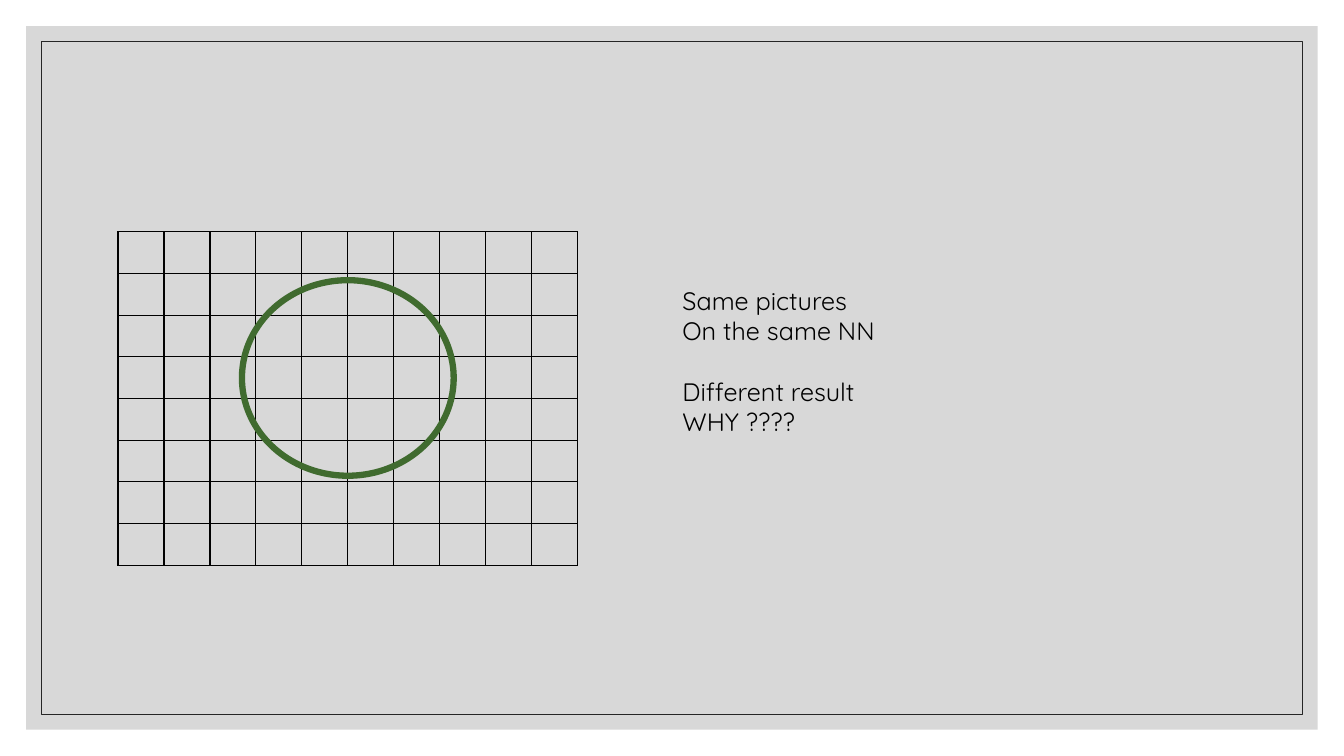
from pptx import Presentation
from pptx.dml.color import RGBColor
from pptx.enum.shapes import MSO_SHAPE as SHAPE
from pptx.oxml import parse_xml
from pptx.oxml.ns import nsdecls
from pptx.util import Inches, Pt

COLORS = {"panel": "BFBFBF", "frame": "262626", "circle": "406B2F", "ink": "000000"}
WIDTH, HEIGHT = 13.33, 7.5
COLS, ROWS = 10, 8
GRID_BOX = (1.17, 2.3, 4.56, 3.31)
CIRCLE_BOX = (2.4, 2.78, 2.1, 1.94)
TEXT_BOX = (6.67, 2.78, 3.71, 1.62)
PANEL_MARGIN, FRAME_MARGIN = 0.26, 0.41
FONT = {"name": "Quicksand", "size": Pt(18)}
CELL = {"margin_left": 0, "margin_right": 0, "margin_top": 0, "margin_bottom": 0}
LINE_GAP = 21.6
LINES = [
    ("Same pictures", 0),
    ("On the same NN", 0),
    ("Different result", LINE_GAP),
    ("WHY ????", 0),
]


def rgb(name):
    return RGBColor.from_string(COLORS[name])


def inset(margin):
    return margin, margin, WIDTH - 2 * margin, HEIGHT - 2 * margin


def add_shape(s, kind, box, fill=None, alpha=100, line=None, weight=0):
    sp = s.shapes.add_shape(kind, *map(Inches, box))
    sp.shadow.inherit = False
    if fill:
        sp.fill.solid()
        sp.fill.fore_color.rgb = rgb(fill)
        color = sp.fill._xPr.find(".//{*}srgbClr")
        color.append(parse_xml(f'<a:alpha {nsdecls("a")} val="{alpha * 1000}"/>'))
    else:
        sp.fill.background()
    if line:
        sp.line.color.rgb = rgb(line)
        sp.line.width = Pt(weight)
    else:
        sp.line.fill.background()


def add_grid(s, box):
    table = s.shapes.add_table(ROWS, COLS, *map(Inches, box)).table
    table.first_row = table.horz_banding = False
    for col in table.columns:
        col.width = Inches(box[2] / COLS)
    for row in table.rows:
        row.height = Inches(box[3] / ROWS)
    for cell in table.iter_cells():
        for key, value in CELL.items():
            setattr(cell, key, value)
        cell.text_frame.paragraphs[0].font.size = Pt(12)
        cell.fill.background()
        props = cell._tc.get_or_add_tcPr()
        for i, side in enumerate(("lnL", "lnR", "lnT", "lnB")):
            props.insert(i, parse_xml(
                f'<a:{side} {nsdecls("a")} w="{Pt(1)}"><a:solidFill>'
                f'<a:srgbClr val="{COLORS["ink"]}"/></a:solidFill></a:{side}>'))


def add_text(s, box):
    tf = s.shapes.add_textbox(*map(Inches, box)).text_frame
    tf.word_wrap = True
    for i, (text, gap) in enumerate(LINES):
        p = tf.add_paragraph() if i else tf.paragraphs[0]
        p.space_before = Pt(gap)
        r = p.add_run()
        r.text = text
        for key, value in FONT.items():
            setattr(r.font, key, value)
        r.font.color.rgb = rgb("ink")


def main():
    prs = Presentation()
    prs.slide_width, prs.slide_height = Inches(WIDTH), Inches(HEIGHT)
    s = prs.slides.add_slide(prs.slide_layouts[6])
    add_shape(s, SHAPE.RECTANGLE, inset(PANEL_MARGIN), fill="panel", alpha=60)
    add_shape(s, SHAPE.RECTANGLE, inset(FRAME_MARGIN), line="frame", weight=0.5)
    add_grid(s, GRID_BOX)
    add_shape(s, SHAPE.OVAL, CIRCLE_BOX, line="circle", weight=4.5)
    add_text(s, TEXT_BOX)
    prs.save("out.pptx")


if __name__ == "__main__":
    main()
